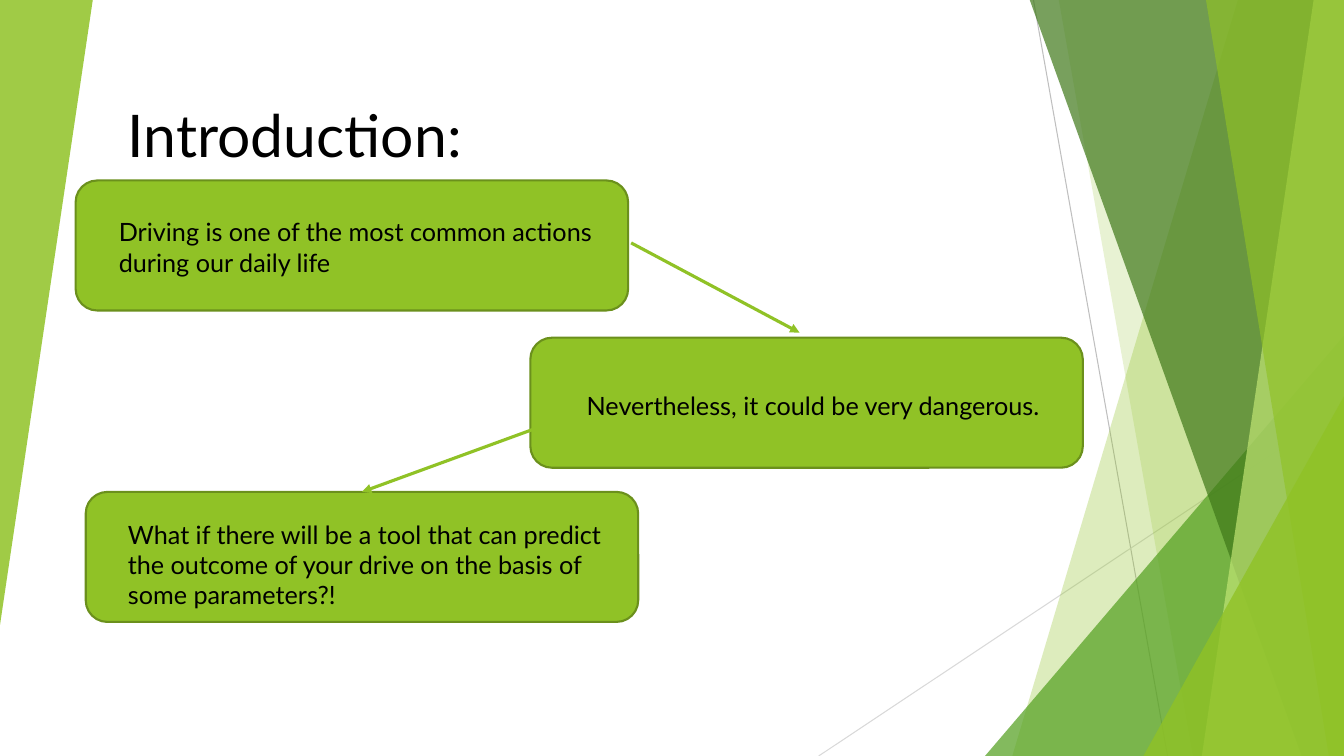
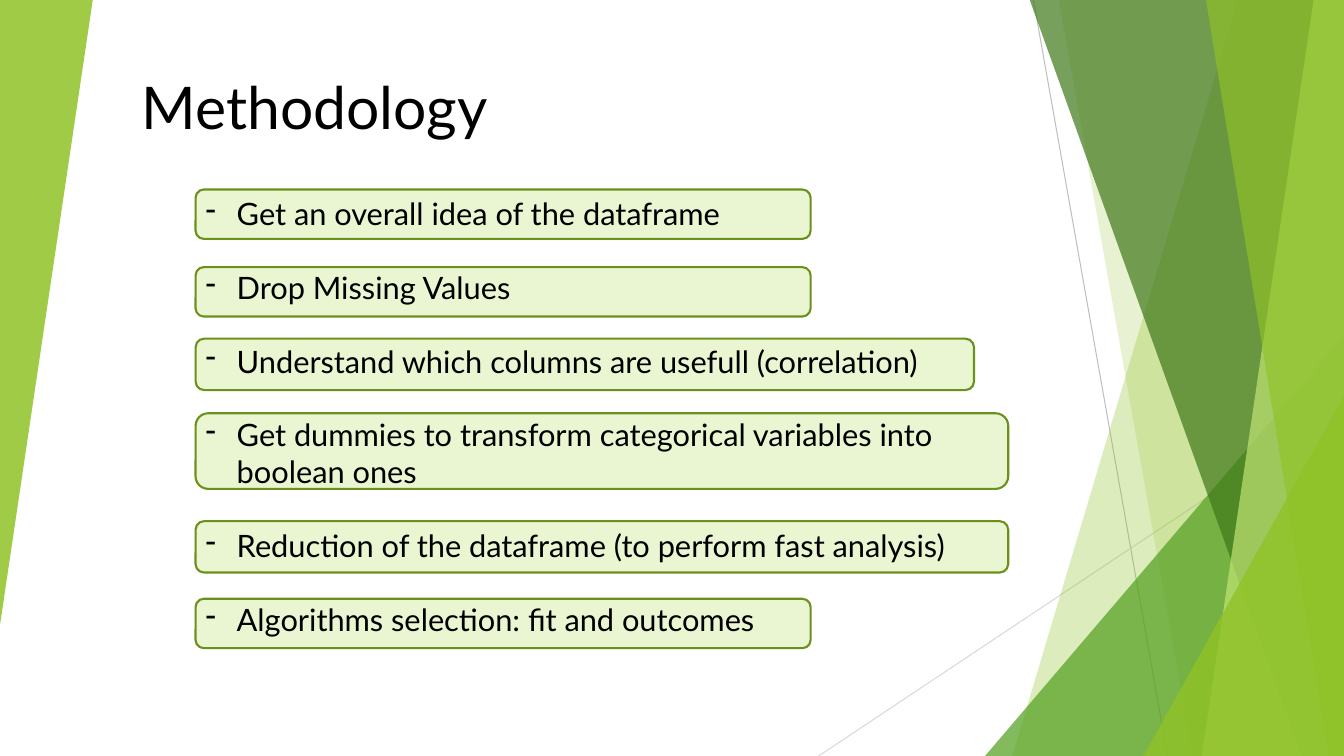
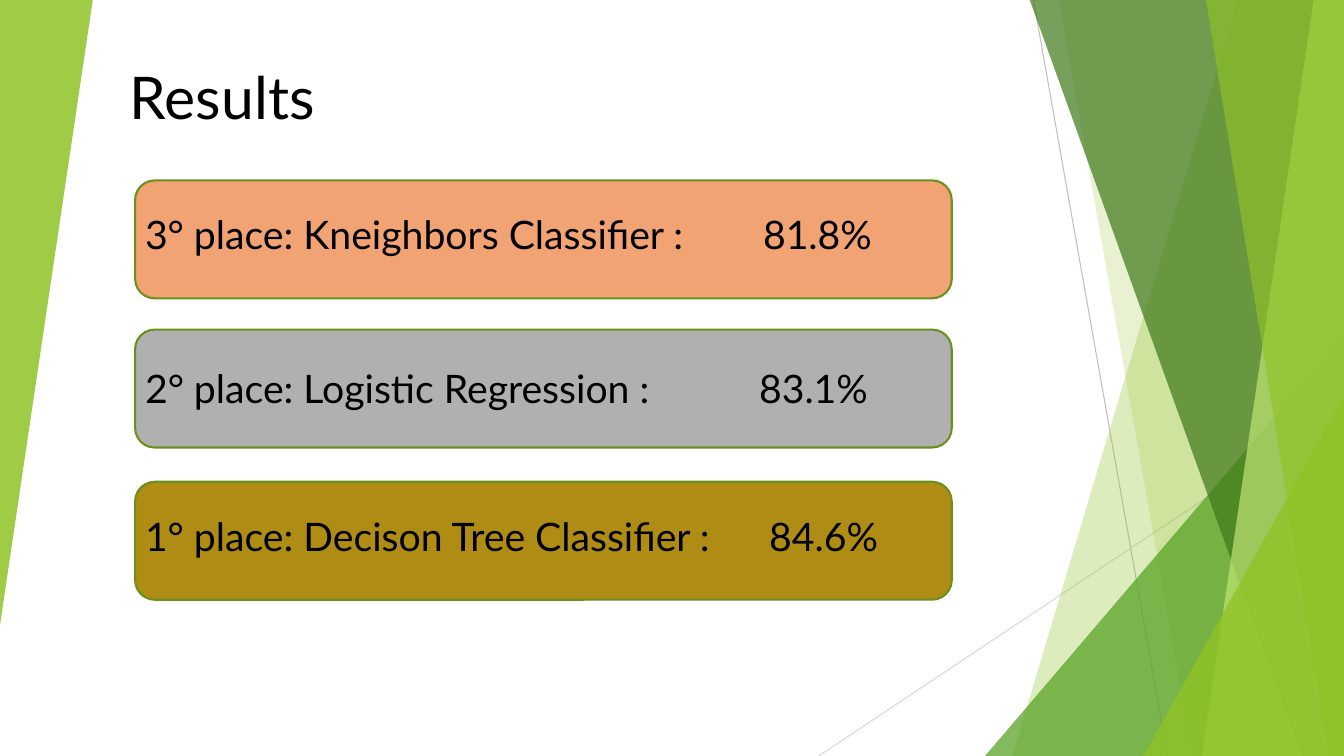
from dataclasses import dataclass

from lxml.etree import SubElement
from pptx import Presentation
from pptx.dml.color import RGBColor
from pptx.enum.shapes import MSO_CONNECTOR, MSO_SHAPE
from pptx.enum.text import MSO_AUTO_SIZE, PP_ALIGN
from pptx.oxml.ns import qn
from pptx.util import Inches, Pt

WIDTH, HEIGHT = 13.33, 7.5


@dataclass(frozen=True)
class Theme:
    """Colours, font and type sizes of the whole deck."""
    font: str = "Lato"
    ink: str = "000000"
    green: str = "90C226"
    leaf: str = "54A021"
    forest: str = "3F7819"
    lime: str = "C0E474"
    pale: str = "EAF6D1"
    outline: str = "6B901C"
    hairline: str = "BFBFBF"
    light_hairline: str = "D9D9D9"
    bronze: str = "F1A374"
    silver: str = "B0B0B0"
    gold: str = "AF8C14"
    title_size: int = 42
    body_size: int = 18
    step_size: int = 22
    result_size: int = 28
    step_gap: float = 26.4


class Deck:
    """Holds the theme and the current slide, and draws each kind of element."""

    def __init__(self, theme):
        """Start an empty widescreen presentation."""
        self.theme = theme
        self.presentation = Presentation()
        self.presentation.slide_width = Inches(WIDTH)
        self.presentation.slide_height = Inches(HEIGHT)
        self.slide = None

    def new_slide(self, title, left, top):
        """Add a blank slide with the shared backdrop and a title."""
        self.slide = self.presentation.slides.add_slide(self.presentation.slide_layouts[6])
        self.backdrop()
        self.text(title, left, top, 6.1, 0.81, self.theme.title_size)

    def backdrop(self):
        """Draw the thin lines and translucent green facets."""
        theme = self.theme
        self.line((10.25, 0), (11.58, HEIGHT), theme.hairline, 0.75)
        self.line((WIDTH, 4.03), (8.12, HEIGHT), theme.light_hairline, 0.75)
        self.facet(12.28, 10.04, theme.green, 30)
        self.facet(10.5, 11.83, theme.green, 20)
        self.triangle(9.77, 3.33, 3.56, 4.17, theme.leaf, 72)
        self.facet(10.21, 12.91, theme.forest, 70)
        self.facet(13.03, 11.92, theme.lime, 70)
        self.facet(11.96, 13.18, theme.green, 65)
        self.triangle(11.34, 3.93, 1.99, 3.57, theme.green, 80)
        self.triangle(0, 0, 0.92, 6.2, theme.green, 85, rotation=180)

    def paint(self, shape, color, opacity=100):
        """Give a shape a flat fill with no line or shadow."""
        shape.shadow.inherit = False
        shape.fill.solid()
        shape.fill.fore_color.rgb = RGBColor.from_string(color)
        shape.line.fill.background()
        if opacity < 100:
            fill_color = shape._element.spPr.find(qn("a:solidFill")).find(qn("a:srgbClr"))
            SubElement(fill_color, qn("a:alpha"), val=str(opacity * 1000))

    def facet(self, top_x, bottom_x, color, opacity):
        """Fill from a slanted edge to the right side of the slide."""
        top = Inches(-0.01)
        builder = self.slide.shapes.build_freeform(Inches(top_x), top)
        builder.add_line_segments([
            (Inches(WIDTH), top),
            (Inches(WIDTH), Inches(HEIGHT)),
            (Inches(bottom_x), Inches(HEIGHT)),
        ])
        self.paint(builder.convert_to_shape(), color, opacity)

    def triangle(self, left, top, width, height, color, opacity, rotation=0):
        """Draw a right triangle whose apex is above its right corner."""
        shape = self.slide.shapes.add_shape(
            MSO_SHAPE.ISOSCELES_TRIANGLE,
            Inches(left), Inches(top), Inches(width), Inches(height))
        shape.adjustments[0] = 1
        shape.rotation = rotation
        self.paint(shape, color, opacity)

    def card(self, left, top, width, height, color):
        """Draw an outlined rounded box."""
        shape = self.slide.shapes.add_shape(
            MSO_SHAPE.ROUNDED_RECTANGLE,
            Inches(left), Inches(top), Inches(width), Inches(height))
        self.paint(shape, color)
        shape.line.color.rgb = RGBColor.from_string(self.theme.outline)
        shape.line.width = Pt(1.5)

    def line(self, start, end, color, weight, arrow=False):
        """Draw a straight line, with an arrowhead at its end if asked."""
        connector = self.slide.shapes.add_connector(
            MSO_CONNECTOR.STRAIGHT, *[Inches(value) for value in (*start, *end)])
        connector.line.color.rgb = RGBColor.from_string(color)
        connector.line.width = Pt(weight)
        properties = connector._element.spPr
        if arrow:
            SubElement(properties.find(qn("a:ln")), qn("a:tailEnd"), type="triangle")
        SubElement(properties, qn("a:effectLst"))

    def text_frame(self, left, top, width, height):
        """Add a wrapping text box and return its frame."""
        box = self.slide.shapes.add_textbox(
            Inches(left), Inches(top), Inches(width), Inches(height))
        box.text_frame.word_wrap = True
        box.text_frame.auto_size = MSO_AUTO_SIZE.SHAPE_TO_FIT_TEXT
        return box.text_frame

    def add_run(self, paragraph, text, size):
        """Add one styled run to a left-aligned paragraph."""
        paragraph.alignment = PP_ALIGN.LEFT
        run = paragraph.add_run()
        run.text = text
        run.font.name = self.theme.font
        run.font.size = Pt(size)
        run.font.color.rgb = RGBColor.from_string(self.theme.ink)

    def text(self, text, left, top, width, height, size):
        """Add a one-paragraph text box and return the paragraph."""
        paragraph = self.text_frame(left, top, width, height).paragraphs[0]
        self.add_run(paragraph, text, size)
        return paragraph

    def dash_list(self, items, left, top, width, height):
        """Add a dashed list with one line of space between items."""
        frame = self.text_frame(left, top, width, height)
        indent = Inches(0.31)
        for index, item in enumerate(items):
            paragraph = frame.add_paragraph() if index else frame.paragraphs[0]
            self.add_run(paragraph, item, self.theme.step_size)
            if index:
                paragraph.space_before = Pt(self.theme.step_gap)
            properties = paragraph._p.get_or_add_pPr()
            properties.set("marL", str(indent))
            properties.set("indent", str(-indent))
            SubElement(properties, qn("a:buChar"), char="-")

    def result(self, label, score, top, width, tab):
        """Add a ranking line with its score at a tab stop."""
        paragraph = self.text(f"{label}\t{score}", 1.34, top, width, 0.57,
                              self.theme.result_size)
        tabs = SubElement(paragraph._p.get_or_add_pPr(), qn("a:tabLst"))
        SubElement(tabs, qn("a:tab"), pos=str(Inches(tab)), algn="l")


def introduction(deck):
    """Build the three linked statements."""
    theme = deck.theme
    deck.new_slide("Introduction:", 1.17, 0.93)
    for left, top in [(5.26, 3.35), (0.85, 4.88), (0.75, 1.79)]:
        deck.card(left, top, 5.48, 1.29, theme.green)
    statements = [
        ("Driving is one of the most common actions during our daily life", 1.08, 2.1, 0.71),
        ("What if there will be a tool that can predict the outcome of your drive "
         "on the basis of some parameters?!", 1.17, 5.1, 1.01),
        ("Nevertheless, it could be very dangerous.", 5.72, 3.82, 0.4),
    ]
    for statement, left, top, height in statements:
        deck.text(statement, left, top, 5.25, height, theme.body_size)
    for start, end in [((6.26, 2.41), (7.93, 3.3)), ((5.45, 4.2), (3.59, 4.88))]:
        deck.line(start, end, theme.green, 2.25, arrow=True)


def methodology(deck):
    """Build the list of steps over their boxes."""
    deck.new_slide("Methodology", 1.31, 0.65)
    steps = [
        ("Get an overall idea of the dataframe", 1.88, 6.1, 0.49),
        ("Drop Missing Values", 2.65, 6.1, 0.49),
        ("Understand which columns are usefull (correlation)", 3.36, 7.72, 0.51),
        ("Get dummies to transform categorical variables into boolean ones", 4.1, 8.06, 0.75),
        ("Reduction of the dataframe (to perform fast analysis)", 5.17, 8.06, 0.51),
        ("Algorithms selection: fit and outcomes", 5.94, 6.1, 0.49),
    ]
    for _, top, width, height in reversed(steps):
        deck.card(1.94, top, width, height, deck.theme.pale)
    deck.dash_list([step[0] for step in steps], 1.94, 1.88, 8.2, 4.85)


def results(deck):
    """Build the ranking of the classifiers."""
    theme = deck.theme
    deck.new_slide("Results", 1.19, 0.55)
    for top, color in [(4.78, theme.gold), (3.27, theme.silver), (1.79, theme.bronze)]:
        deck.card(1.34, top, 8.1, 1.17, color)
    deck.result("3° place: Kneighbors Classifier :", "81.8%", 2.04, 8.1, 6.13)
    deck.result("2° place: Logistic Regression :", "83.1%", 3.57, 7.88, 6.09)
    deck.result("1° place: Decison Tree Classifier :", "84.6%", 5.03, 8.73, 6.19)


def main():
    """Build and save the deck."""
    deck = Deck(Theme())
    introduction(deck)
    methodology(deck)
    results(deck)
    deck.presentation.save("out.pptx")


main()
